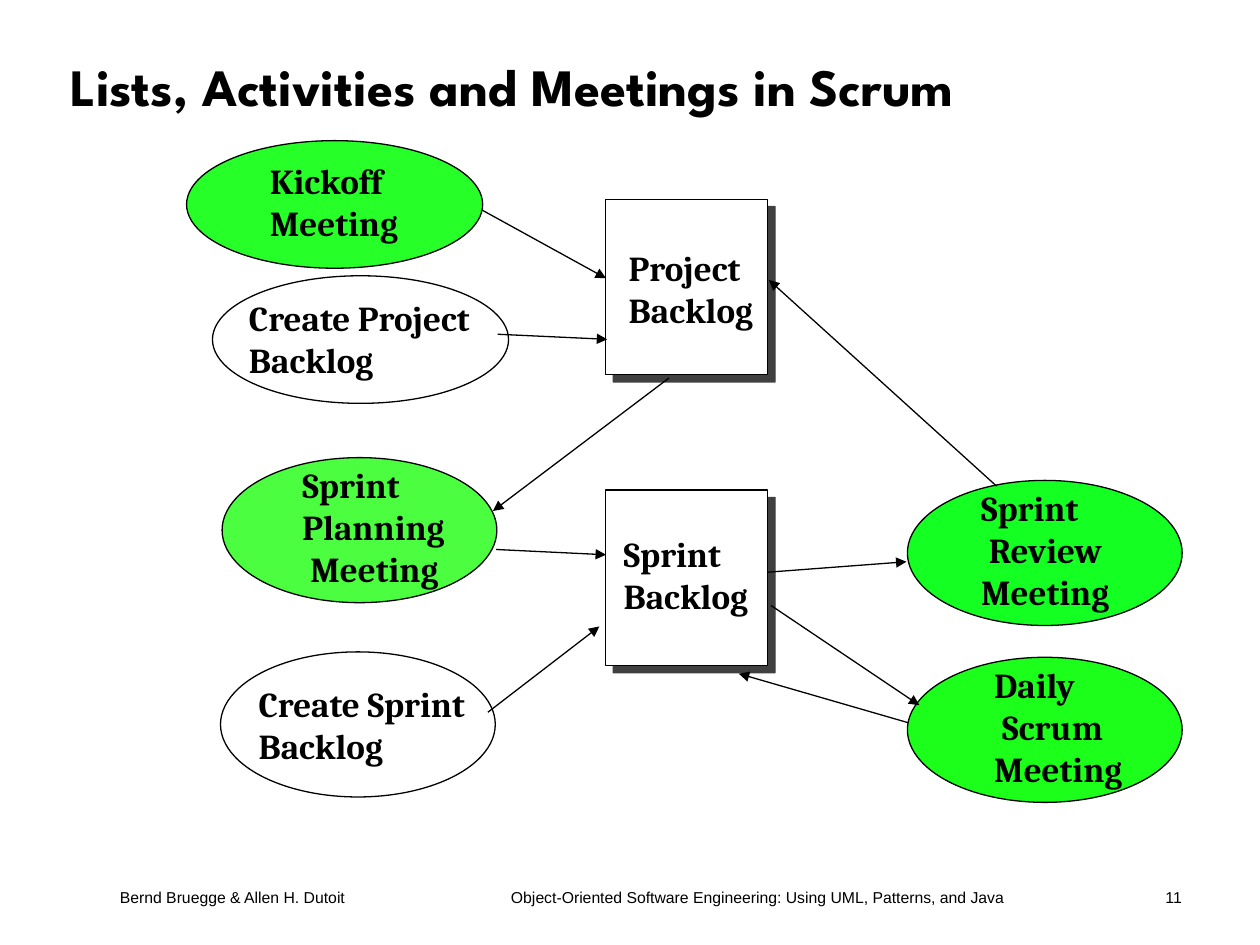
from lxml import etree
from pptx import Presentation
from pptx.dml.color import RGBColor
from pptx.enum import shapes, text
from pptx.oxml import ns
from pptx.util import Pt

BLACK, WHITE = "000000", "FFFFFF"


def rgb(code):
    return RGBColor.from_string(code)


def sub(node, tag, **attrs):
    item = etree.SubElement(node, ns.qn(tag))
    for key, value in attrs.items():
        item.set(key, str(value))
    return item


class Page:
    face, size, rule = "Cambria", 20, 0.75

    def __init__(self, deck):
        self.slide = deck.slides.add_slide(deck.slide_layouts[6])

    def label(self, box, lines, face=face, size=size, bold=True,
              inset=(0, 0), space=None, tabs=(), mid=False):
        frame = self.slide.shapes.add_textbox(*map(Pt, box)).text_frame
        frame.word_wrap = True
        frame.margin_left = frame.margin_right = Pt(inset[0])
        frame.margin_top = frame.margin_bottom = Pt(inset[1])
        if mid:
            frame.vertical_anchor = text.MSO_ANCHOR.MIDDLE
        frame.text = "\n".join(line.strip() for line, _ in lines)
        for para, (_, indent) in zip(frame.paragraphs, lines):
            props = para._p.get_or_add_pPr()
            if indent:
                props.set("marL", str(Pt(indent)))
            if space:
                para.line_spacing = space
            if tabs:
                stops = sub(props, "a:tabLst")
                for pos, side in tabs:
                    sub(stops, "a:tab", pos=Pt(pos), algn=side)
            for run in para.runs:
                run.font.name, run.font.size = face, Pt(size)
                run.font.bold, run.font.color.rgb = bold, rgb(BLACK)

    def shape(self, kind, box, fill):
        item = self.slide.shapes.add_shape(kind, *map(Pt, box))
        item.shadow.inherit = False
        item.fill.solid()
        item.fill.fore_color.rgb = rgb(fill)
        item.line.color.rgb = rgb(BLACK)
        item.line.width = Pt(self.rule)
        return item

    def oval(self, box, fill):
        self.shape(shapes.MSO_SHAPE.OVAL, box, fill)

    def card(self, box):
        item = self.shape(shapes.MSO_SHAPE.RECTANGLE, box, WHITE)
        effects = item._element.spPr.find(ns.qn("a:effectLst"))
        shade = sub(effects, "a:outerShdw", blurRad=0, dist=Pt(6),
                    dir=45 * 60000, algn="tl", rotWithShape=0)
        sub(sub(shade, "a:srgbClr", val=BLACK), "a:alpha", val=75000)

    def arrow(self, *ends):
        item = self.slide.shapes.add_connector(
            shapes.MSO_CONNECTOR.STRAIGHT, *map(Pt, ends))
        item.line.color.rgb = rgb(BLACK)
        item.line.width = Pt(self.rule)
        sub(item.line._get_or_add_ln(), "a:tailEnd", type="triangle")
        sub(item._element.spPr, "a:effectLst")


def main():
    deck = Presentation()
    deck.slide_width, deck.slide_height = Pt(720), Pt(540)
    page = Page(deck)

    # Title and footer
    page.label((33.1, 17.3, 642.2, 67.7),
               [("Lists, Activities and Meetings in Scrum", 0)],
               face="League Spartan", size=30, inset=(7.2, 3.6),
               space=0.9, mid=True)
    page.label((61.4, 504, 640.6, 18),
               [("Bernd Bruegge & Allen H. Dutoit\tObject-Oriented Software "
                 "Engineering: Using UML, Patterns, and Java\t11", 0)],
               face="Arial", size=9, bold=False, inset=(7.2, 3.6),
               tabs=[(223.5, "l"), (606.8, "r")])

    # Meetings and activities: oval place, fill, label place, lines
    wide, tall = (169.2, 72.9), (157, 82.9)
    ovals = [
        ((106.6, 80.4), wide, "27FF29", (154.2, 91.4),
         [("Kickoff", 0), ("Meeting", 0)]),
        ((121.4, 157.6), wide, WHITE, (142.3, 169.2),
         [("Create Project", 0), ("Backlog", 0)]),
        ((126.9, 261.5), tall, "4BFF40", (172.8, 265),
         [("Sprint", 0), ("Planning", 0), ("Meeting", 4.5)]),
        ((126, 372.5), tall, WHITE, (147.8, 390.2),
         [("Create Sprint", 0), ("Backlog", 0)]),
        ((518.5, 274.5), tall, "14FF22", (560.6, 278.2),
         [("Sprint", 0), ("Review", 4.5), ("Meeting", 0)]),
        ((518.5, 375.6), tall, "1BFF1A", (568.1, 379.4),
         [("Daily", 0), ("Scrum", 4.5), ("Meeting", 0)]),
    ]
    for spot, size, fill, at, lines in ovals:
        page.oval(spot + size, fill)
        width = 132.5 if lines[0][0].startswith("Create") else 84
        page.label(at + (width, 24 * len(lines)), lines)

    # Backlogs
    for top, name, at in [(113.8, "Project", (359.3, 141.1)),
                          (280, "Sprint", (356.4, 304.2))]:
        page.card((346.2, top, 92.5, 100.2))
        page.label(at + (78, 48), [(name, 0), ("Backlog", 0)])

    # Flow
    for ends in [
        (275.4, 120, 346.3, 159),
        (284.4, 191, 347, 193.9),
        (382.3, 216, 281.7, 292),
        (283.5, 314, 346.3, 317),
        (278.8, 407, 342.5, 358),
        (438.7, 327, 518, 321),
        (440.6, 346, 525.4, 403),
        (569.5, 277.8, 439.4, 160),
        (519, 413, 422.2, 385),
    ]:
        page.arrow(*ends)

    deck.save("out.pptx")


if __name__ == "__main__":
    main()
